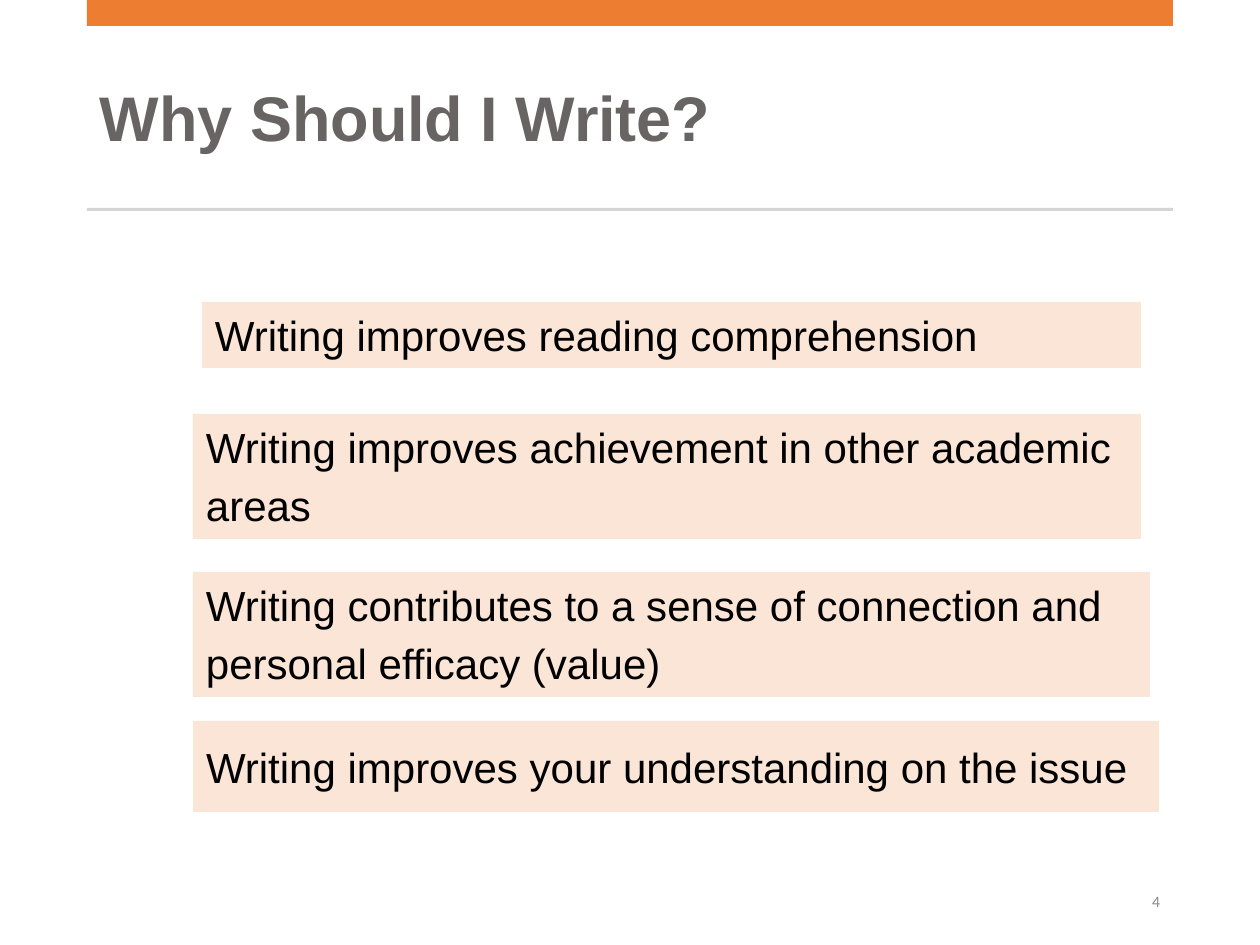
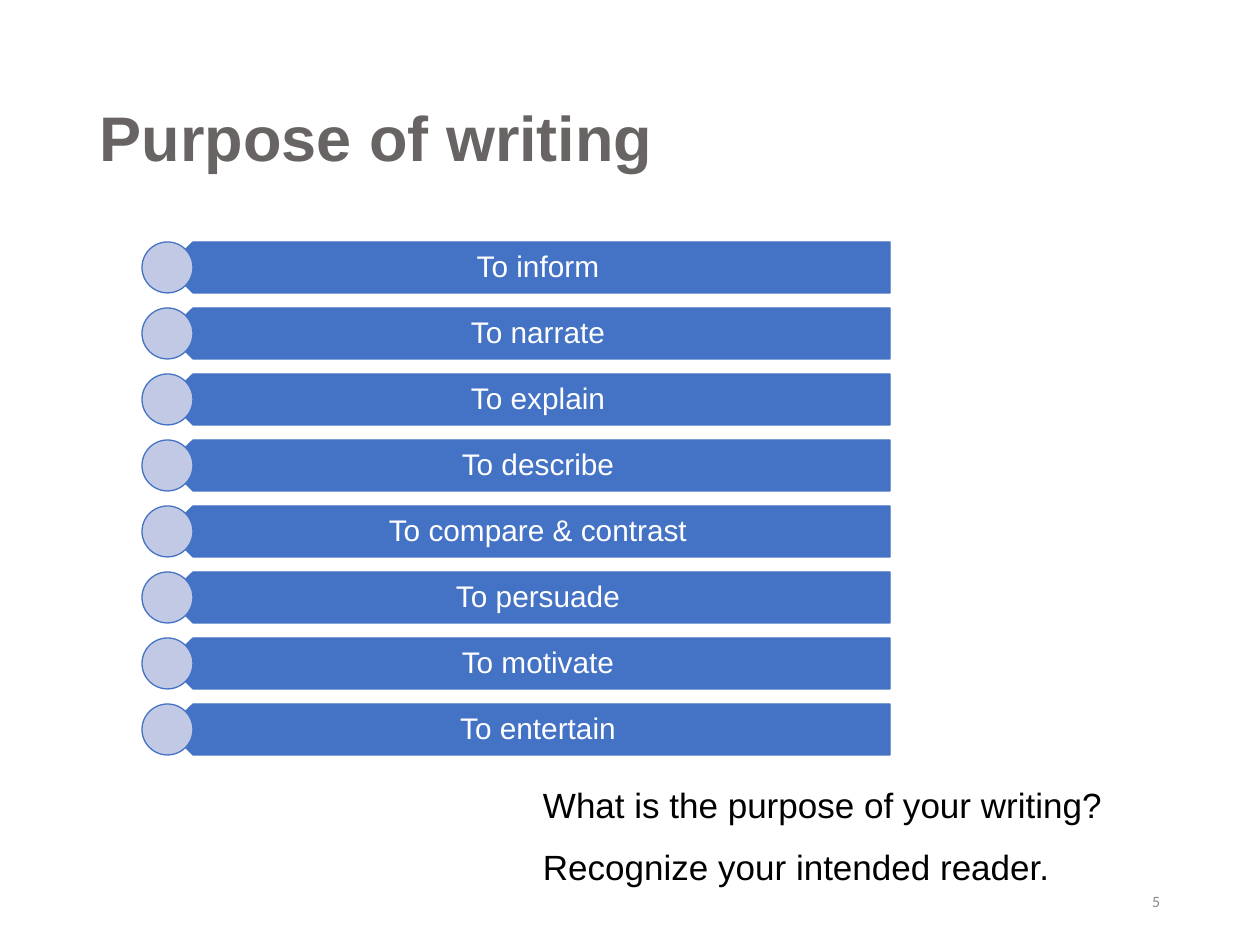
from pptx import Presentation
from pptx.dml.color import RGBColor
from pptx.enum.shapes import MSO_SHAPE
from pptx.enum.text import MSO_ANCHOR, MSO_AUTO_SIZE, PP_ALIGN
from pptx.util import Pt

EMU_PER_PX = 914400 / 126
COLORS = {
    "accent": "ED7D31", "rule": "D5D5D5", "reason": "FBE5D6",
    "bar": "4472C4", "dot": "C1C9E4", "title": "696464",
    "text": "000000", "light": "FFFFFF", "footer": "888888",
}
MARGIN, CONTENT_WIDTH = 87, 1086
INSETS = (13, 6, 13, 6)


def emu(px):
    return round(px * EMU_PER_PX)


def rgb(name):
    return RGBColor.from_string(COLORS[name])


class Deck:
    """Holds the shared style and the slide being built."""

    def __init__(self):
        self.prs = Presentation()
        self.prs.slide_width, self.prs.slide_height = emu(1260), emu(945)
        self.slide = None

    def new_slide(self, title, title_top, title_height, number):
        self.slide = self.prs.slides.add_slide(self.prs.slide_layouts[6])
        self.label([title], (MARGIN, title_top, CONTENT_WIDTH, title_height),
                   size=36, color="title", bold=True, line_spacing=0.9)
        self.label([str(number)], (890, 876, 283, 50), size=9, color="footer",
                   font="Calibri", align=PP_ALIGN.RIGHT)

    def set_text(self, shape, lines, size, color="text", font="Arial", bold=False,
                 align=PP_ALIGN.LEFT, anchor=MSO_ANCHOR.MIDDLE, insets=INSETS,
                 line_spacing=1.0, before=0, grow=False):
        frame = shape.text_frame
        frame.word_wrap = True
        frame.auto_size = (MSO_AUTO_SIZE.SHAPE_TO_FIT_TEXT if grow
                           else MSO_AUTO_SIZE.NONE)
        frame.vertical_anchor = anchor
        (frame.margin_left, frame.margin_top,
         frame.margin_right, frame.margin_bottom) = map(emu, insets)
        for index, line in enumerate(lines):
            paragraph = frame.add_paragraph() if index else frame.paragraphs[0]
            paragraph.alignment = align
            paragraph.line_spacing = line_spacing
            paragraph.space_before = Pt(before)
            run = paragraph.add_run()
            run.text = line
            run.font.name, run.font.size, run.font.bold = font, Pt(size), bold
            run.font.color.rgb = rgb(color)

    def label(self, lines, box, **style):
        self.set_text(self.slide.shapes.add_textbox(*map(emu, box)), lines, **style)

    def paint(self, shape, fill, line=None):
        shape.shadow.inherit = False
        shape.fill.solid()
        shape.fill.fore_color.rgb = rgb(fill)
        if line:
            shape.line.color.rgb = rgb(line)
            shape.line.width = Pt(0.75)
        else:
            shape.line.fill.background()
        return shape

    def block(self, box, fill, line=None, kind=MSO_SHAPE.RECTANGLE):
        return self.paint(self.slide.shapes.add_shape(kind, *map(emu, box)),
                          fill, line)

    def outline(self, points, fill, line=None):
        builder = self.slide.shapes.build_freeform(*points[0], scale=EMU_PER_PX)
        builder.add_line_segments(points[1:], close=True)
        return self.paint(builder.convert_to_shape(), fill, line)

    def purpose(self, text, top, left=142, right=890, size=51):
        """A bar with a pointed left end, tipped by a circle centred on the point."""
        tip, shoulder = left + size // 2, left + size
        middle, bottom = top + size // 2, top + size
        bar = self.outline([(right, bottom), (shoulder, bottom), (tip, middle),
                            (shoulder, top), (right, top)], "bar", "bar")
        self.set_text(bar, [text], size=17, color="light", align=PP_ALIGN.CENTER,
                      insets=(35, 9, 16, 9), line_spacing=0.9)
        self.block((left, top, size, size), "dot", "bar", MSO_SHAPE.OVAL)


def build_reasons(deck):
    deck.new_slide("Why Should I Write?", 47, 148, 4)
    deck.block((MARGIN, 0, CONTENT_WIDTH, 26), "accent")
    deck.block((MARGIN, 208, CONTENT_WIDTH, 3), "rule")
    reasons = [
        ("Writing improves reading comprehension", (202, 302, 939, 66)),
        ("Writing improves achievement in other academic areas",
         (193, 414, 948, 125)),
        ("Writing contributes to a sense of connection and personal efficacy (value)",
         (193, 572, 957, 125)),
    ]
    for text, box in reasons:
        deck.set_text(deck.block(box, "reason"), [text], size=24,
                      anchor=MSO_ANCHOR.TOP, insets=(13, 0, 13, 0),
                      line_spacing=1.15, before=6, grow=True)
    deck.set_text(deck.block((193, 721, 966, 91), "reason"),
                  ["Writing improves your understanding on the issue"], size=24)


def build_purposes(deck):
    deck.new_slide("Purpose of writing", 50, 183, 5)
    purposes = ["To inform", "To narrate", "To explain", "To describe",
                "To compare & contrast", "To persuade", "To motivate",
                "To entertain"]
    for row, text in enumerate(purposes):
        deck.purpose(text, top=242 + 66 * row)
    deck.label(["What is the purpose of your writing?",
                "Recognize your intended reader."], (530, 764, 643, 151),
               size=20, anchor=MSO_ANCHOR.TOP, insets=(13, 13, 13, 13),
               line_spacing=1.15, before=8, grow=True)


def main():
    deck = Deck()
    build_reasons(deck)
    build_purposes(deck)
    deck.prs.save("out.pptx")


if __name__ == "__main__":
    main()
